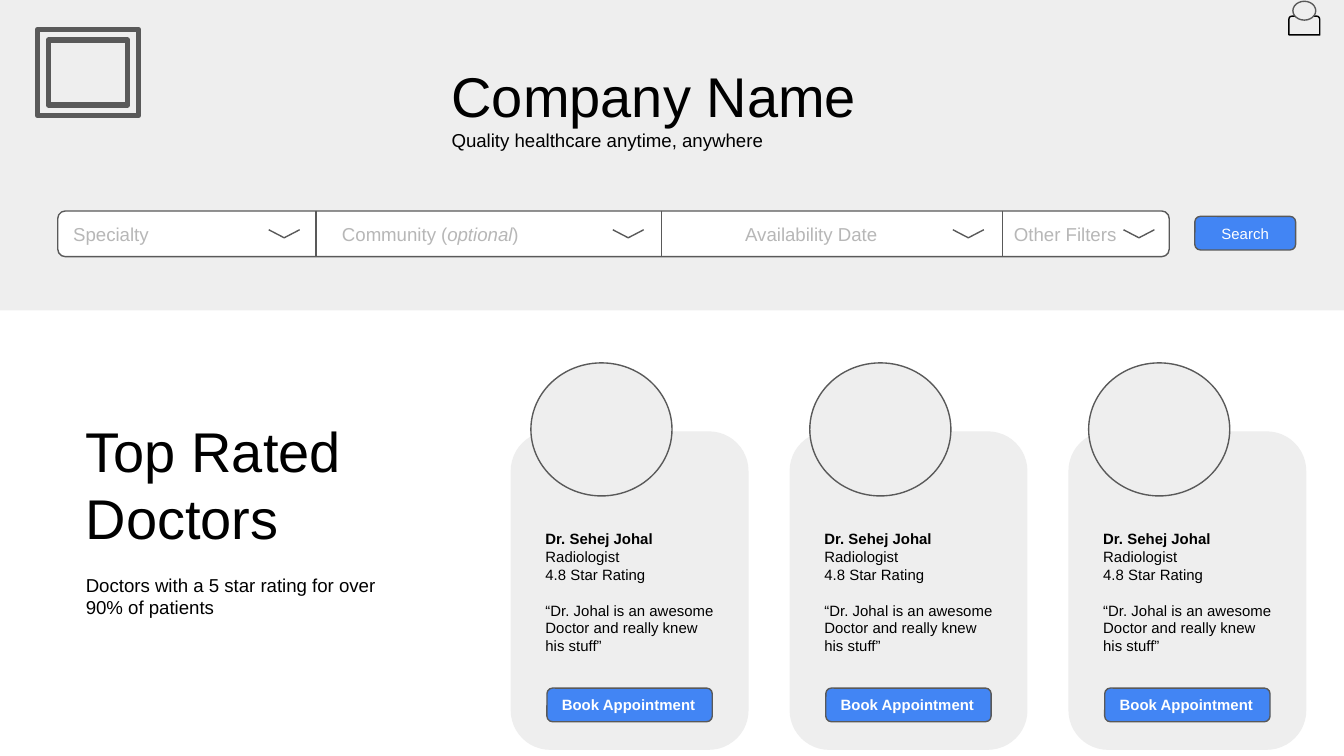
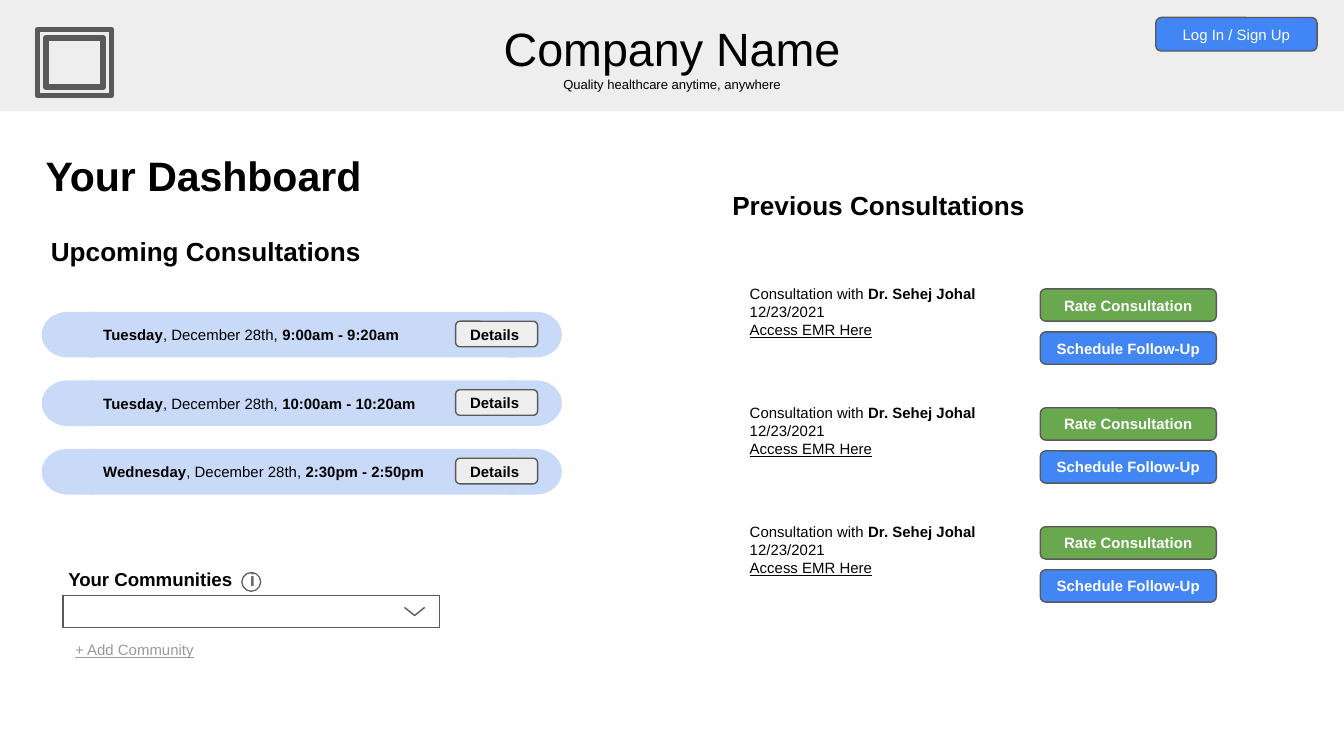
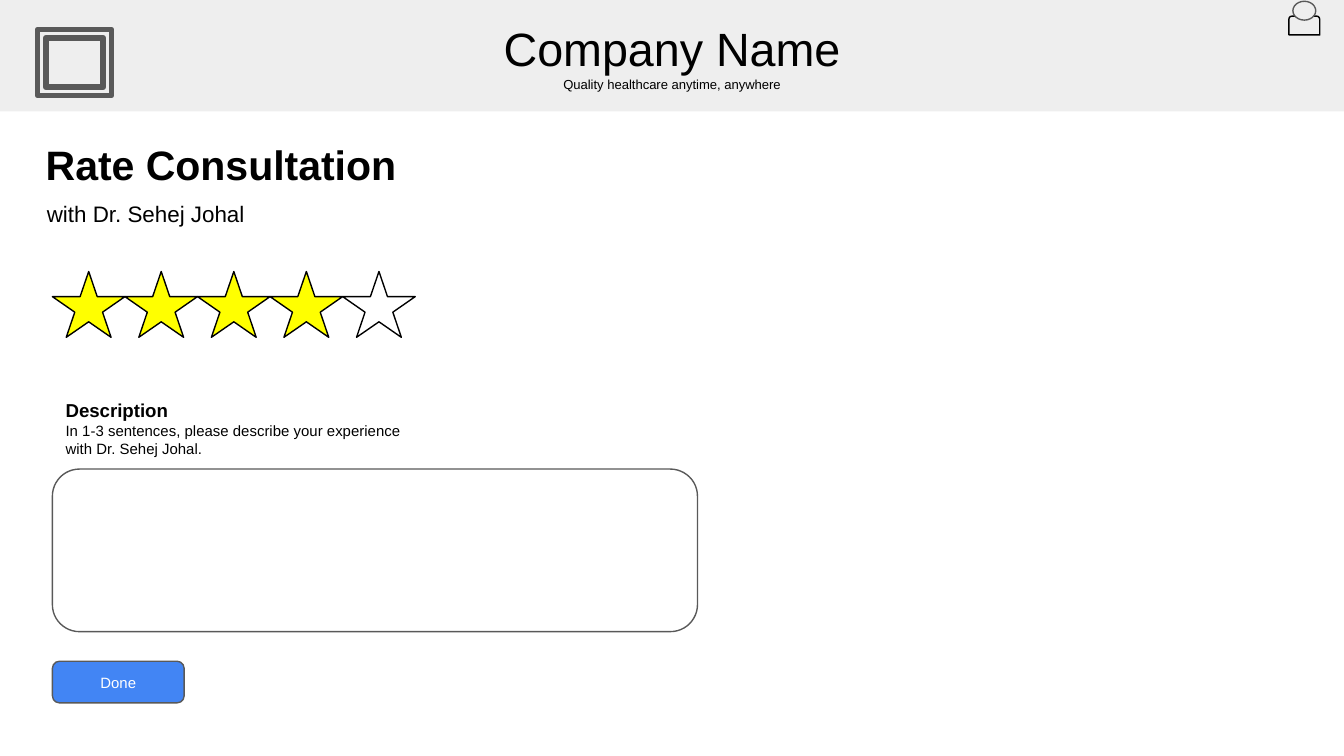
from dataclasses import dataclass

from lxml import etree
from pptx import Presentation
from pptx.dml.color import RGBColor
from pptx.enum.shapes import MSO_CONNECTOR, MSO_SHAPE as SHAPE
from pptx.enum.text import MSO_ANCHOR as ANCHOR, MSO_AUTO_SIZE as AUTO, PP_ALIGN as ALIGN
from pptx.oxml.ns import qn
from pptx.util import Inches, Pt

FONT = "Arial"
COLORS = {
    "black": "000000", "white": "FFFFFF", "panel": "EEEEEE", "outline": "595959",
    "hint": "B7B7B7", "muted": "999999", "info": "666666", "blue": "4285F4",
    "green": "6AA84F", "pill": "C9DAF8", "star": "FFFF00",
}
DOCTOR = "Dr. Sehej Johal"


@dataclass
class Para:
    """A paragraph; each run is a string or a (string, "b", "i" or "u") pair."""
    runs: list
    size: float = 8
    color: str = "black"
    bold: bool = False
    align: ALIGN = ALIGN.LEFT
    before: float = 0


def rgb(name):
    return RGBColor.from_string(COLORS[name])


def write(tf, paras, anchor=ANCHOR.TOP):
    tf.word_wrap = True
    tf.vertical_anchor = anchor
    tf.margin_left = tf.margin_right = tf.margin_top = tf.margin_bottom = Inches(0.1)
    for i, para in enumerate(paras):
        p = tf.paragraphs[0] if i == 0 else tf.add_paragraph()
        p.alignment = para.align
        p.space_before = Pt(para.before)
        p.font.name, p.font.size, p.font.bold = FONT, Pt(para.size), para.bold
        p.font.color.rgb = rgb(para.color)
        for run in para.runs:
            text, style = run if isinstance(run, tuple) else (run, "")
            r = p.add_run()
            r.text = text
            if style == "b":
                r.font.bold = True
            elif style == "i":
                r.font.italic = True
            elif style == "u":
                r.font.underline = True


def add_text(shapes, x, y, w, h, *paras):
    sp = shapes.add_textbox(Inches(x), Inches(y), Inches(w), Inches(h))
    write(sp.text_frame, paras)
    sp.text_frame.auto_size = AUTO.SHAPE_TO_FIT_TEXT


def add_title(s, x, y, w, h, *paras):
    """Place the title placeholder in front of what is already drawn."""
    sp = s.shapes.title
    sp.left, sp.top, sp.width, sp.height = map(Inches, (x, y, w, h))
    write(sp.text_frame, paras)
    sp.text_frame.auto_size = AUTO.NONE
    sp.element.getparent().append(sp.element)


def add_box(shapes, kind, x, y, w, h, fill, line=None, weight=0.75, para=None):
    sp = shapes.add_shape(kind, Inches(x), Inches(y), Inches(w), Inches(h))
    sp.shadow.inherit = False
    sp.fill.solid()
    sp.fill.fore_color.rgb = rgb(fill)
    if line:
        sp.line.color.rgb = rgb(line)
        sp.line.width = Pt(weight)
    else:
        sp.line.fill.background()
    if para:
        write(sp.text_frame, [para], ANCHOR.MIDDLE)
    return sp


def add_button(shapes, x, y, w, h, label, fill="blue", color="white", bold=False,
               align=ALIGN.CENTER):
    add_box(shapes, SHAPE.ROUNDED_RECTANGLE, x, y, w, h, fill, "outline",
            para=Para([label], color=color, bold=bold, align=align))


def add_divider(shapes, x, top, bottom):
    line = shapes.add_connector(MSO_CONNECTOR.STRAIGHT, Inches(x), Inches(top),
                                Inches(x), Inches(bottom))
    line.line.color.rgb = rgb("outline")
    line.line.width = Pt(0.75)
    etree.SubElement(line.element.spPr, qn("a:effectLst"))


def add_chevron(shapes, x, y, w=0.23):
    path = shapes.build_freeform(Inches(x), Inches(y))
    path.add_line_segments([(Inches(x + w / 2), Inches(y + 0.06)),
                            (Inches(x + w), Inches(y))], close=False)
    sp = path.convert_to_shape()
    sp.shadow.inherit = False
    sp.fill.background()
    sp.line.color.rgb = rgb("outline")
    sp.line.width = Pt(0.75)


def add_band(shapes, h):
    add_box(shapes, SHAPE.RECTANGLE, -0.03, -0.12, 10.03, h, "panel")


def add_frame(shapes, w, h):
    add_box(shapes, SHAPE.FRAME, 0.28, 0.22, w, h, "panel", "outline", 3)


def brand(name_size, tagline_size, align):
    return [Para(["Company Name"], name_size, align=align),
            Para(["Quality healthcare anytime, anywhere"], tagline_size, align=align)]


def add_header(shapes):
    add_band(shapes, 0.95)
    add_text(shapes, 3.26, 0.05, 3.48, 0.74, *brand(25, 7, ALIGN.CENTER))
    add_frame(shapes, 0.55, 0.49)


def add_user_icon(shapes):
    icon = shapes.add_group_shape().shapes
    body = add_box(icon, SHAPE.ROUND_2_SAME_RECTANGLE, 9.59, 0.12, 0.23, 0.14,
                   "panel", "black")
    body.adjustments[0] = 0.167
    add_box(icon, SHAPE.OVAL, 9.62, 0.01, 0.17, 0.14, "panel", "outline")


def add_filter_bar(shapes):
    top, h = 1.57, 0.34
    hints = Para(["Specialty\tCommunity (", ("optional", "i"),
                  ")\tAvailability Date\tOther Filters"], 10, "hint")
    bar = add_box(shapes, SHAPE.FLOWCHART_ALTERNATE_PROCESS, 0.43, top, 8.27, h,
                  "white", "outline", para=hints)
    pPr = bar.text_frame.paragraphs[0]._p.get_or_add_pPr()
    tabs = etree.Element(qn("a:tabLst"))
    for stop in (2, 5, 7):
        etree.SubElement(tabs, qn("a:tab"), pos=str(Inches(stop)), algn="l")
    pPr.find(qn("a:defRPr")).addprevious(tabs)
    for x in (2.35, 4.92, 7.46):
        add_divider(shapes, x, top, top + h)
    for x in (2, 4.56, 7.09, 8.36):
        add_chevron(shapes, x, 1.71)


def add_doctor_card(shapes, x):
    add_box(shapes, SHAPE.ROUNDED_RECTANGLE, x, 3.21, 1.77, 2.37, "panel")
    add_box(shapes, SHAPE.OVAL, x + 0.15, 2.7, 1.05, 0.99, "panel", "outline")
    add_text(shapes, x + 0.16, 3.84, 1.48, 1.28,
             Para([DOCTOR], bold=True),
             Para(["Radiologist"]),
             Para(["4.8 Star Rating"]),
             Para(["“Dr. Johal is an awesome"], before=9.6),
             Para(["Doctor and really knew his stuff”"]))
    add_button(shapes, x + 0.27, 5.12, 1.23, 0.25, "Book Appointment", bold=True,
               align=ALIGN.LEFT)


def add_upcoming(shapes, y, day, time):
    pill = shapes.add_group_shape().shapes
    h = 0.34
    left_end = add_box(pill, SHAPE.FLOWCHART_DELAY, 0.31, y, 0.39, h, "pill")
    left_end.rotation = 180
    add_box(pill, SHAPE.RECTANGLE, 0.67, y, 3.17, h, "pill",
            para=Para([(day, "b"), ", December 28th, ", (time, "b")]))
    add_box(pill, SHAPE.FLOWCHART_DELAY, 3.79, y, 0.39, h, "pill")
    add_button(shapes, 3.39, y + 0.07, 0.61, 0.19, "Details", "panel", "black", True,
               ALIGN.LEFT)


def add_previous(shapes, y):
    add_text(shapes, 5.48, y, 3.15, 0.61,
             Para(["Consultation with ", (DOCTOR, "b")]),
             Para(["12/23/2021"]),
             Para([("Access EMR Here", "u")]))
    add_button(shapes, 7.74, y + 0.13, 1.31, 0.24, "Rate Consultation", "green", bold=True)
    add_button(shapes, 7.74, y + 0.45, 1.31, 0.24, "Schedule Follow-Up", bold=True)


def add_communities(shapes):
    add_box(shapes, SHAPE.RECTANGLE, 0.47, 4.43, 2.8, 0.24, "white", "outline")
    add_text(shapes, 0.41, 4.14, 1.54, 0.37, Para(["Your Communities"], 10, bold=True))
    add_text(shapes, 0.46, 4.7, 1.09, 0.34, Para([("+ Add Community", "u")], color="muted"))
    add_chevron(shapes, 3.01, 4.52, 0.15)
    info = shapes.add_group_shape().shapes
    add_box(info, SHAPE.OVAL, 1.8, 4.26, 0.14, 0.14, "white", "info")
    add_text(info, 1.76, 4.14, 0.21, 0.37, Para(["i"], 10, "info", True, ALIGN.CENTER))


def add_stars(shapes, rating, total=5):
    w = 0.54
    for i in range(total):
        add_box(shapes, SHAPE.STAR_5_POINT, 0.39 + i * w, 2.02, w, 0.49,
                "star" if i < rating else "white", "black")


def build_home(s):
    shapes = s.shapes
    add_band(shapes, 2.43)
    add_title(s, 3.26, 0.36, 3.48, 0.88, *brand(30, 10, ALIGN.LEFT))
    add_filter_bar(shapes)
    add_button(shapes, 8.89, 1.61, 0.75, 0.25, "Search")
    add_text(shapes, 0.54, 3, 2.59, 1.72,
             Para(["Top Rated Doctors"], 30),
             Para(["Doctors with a 5 star rating for over 90% of patients"], 10, before=12))
    for i in range(3):
        add_doctor_card(shapes, 3.8 + i * 2.075)
    add_frame(shapes, 0.75, 0.64)
    add_user_icon(shapes)


def build_dashboard(s):
    shapes = s.shapes
    add_header(shapes)
    add_button(shapes, 8.6, 0.13, 1.2, 0.25, "Log In / Sign Up")
    add_title(s, 0.24, 1.02, 3.37, 0.57, Para(["Your Dashboard"], 22, bold=True))
    add_communities(shapes)
    add_text(shapes, 0.28, 1.65, 3.12, 0.44, Para(["Upcoming Consultations"], 14, bold=True))
    upcoming = [("Tuesday", "9:00am - 9:20am"),
                ("Tuesday", "10:00am - 10:20am"),
                ("Wednesday", "2:30pm - 2:50pm")]
    for i, (day, time) in enumerate(upcoming):
        add_upcoming(shapes, 2.32 + i * 0.51, day, time)
    add_text(shapes, 5.35, 1.31, 3.12, 0.44, Para(["Previous Consultations"], 14, bold=True))
    for i in range(3):
        add_previous(shapes, 2.02 + i * 0.885)


def build_rating(s):
    shapes = s.shapes
    add_header(shapes)
    add_button(shapes, 0.39, 4.92, 0.98, 0.31, "Done")
    add_title(s, 0.24, 0.94, 3.74, 0.57, Para(["Rate Consultation"], 22, bold=True))
    add_text(shapes, 0.25, 1.39, 3.15, 0.4, Para([f"with {DOCTOR}"], 12))
    add_text(shapes, 0.39, 2.87, 2.86, 0.64,
             Para(["Description"], 10, bold=True),
             Para([f"In 1-3 sentences, please describe your experience with {DOCTOR}."]))
    add_box(shapes, SHAPE.ROUNDED_RECTANGLE, 0.39, 3.49, 4.8, 1.21, "white", "outline")
    add_user_icon(shapes)
    add_stars(shapes, 4)


def main():
    prs = Presentation()
    prs.slide_width = Inches(10)
    prs.slide_height = Inches(10 * 9 / 16)
    title_only = prs.slide_layouts[5]
    for build in (build_home, build_dashboard, build_rating):
        build(prs.slides.add_slide(title_only))
    prs.save("out.pptx")


if __name__ == "__main__":
    main()
